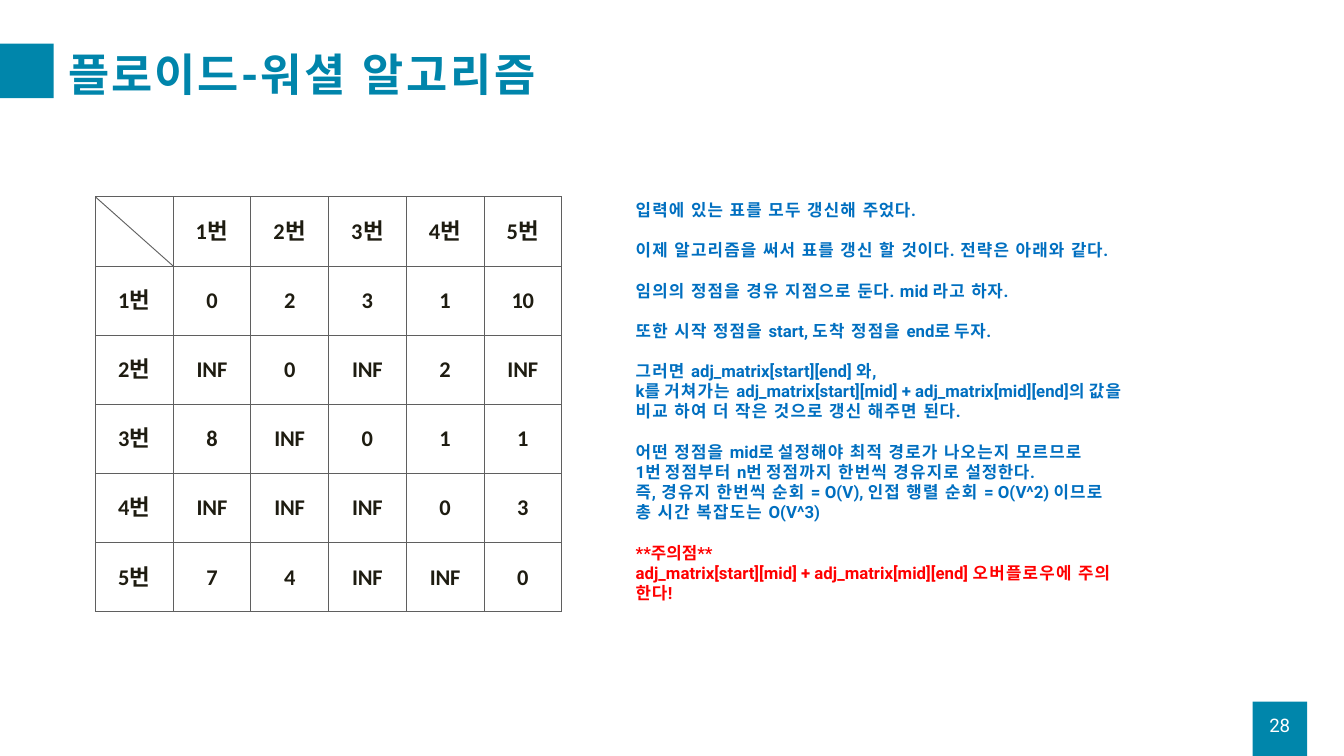
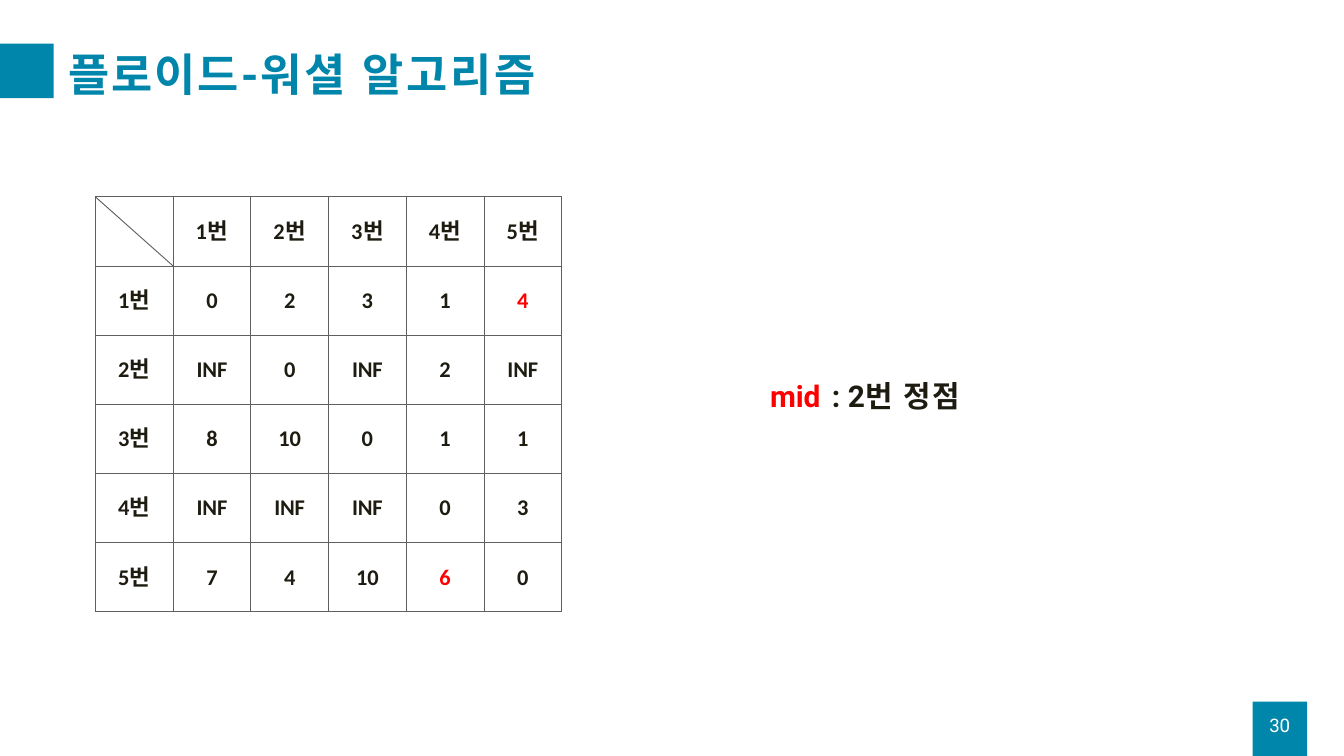
from itertools import groupby
from lxml import etree
from pptx import Presentation
from pptx.dml.color import RGBColor
from pptx.enum.shapes import MSO_CONNECTOR, MSO_SHAPE
from pptx.enum.text import MSO_ANCHOR, PP_ALIGN
from pptx.oxml.ns import qn
from pptx.util import Inches, Pt

RECT, LINE = MSO_SHAPE.RECTANGLE, MSO_CONNECTOR.STRAIGHT
MID, TOP = MSO_ANCHOR.MIDDLE, MSO_ANCHOR.TOP
LEFT, MIDST = PP_ALIGN.LEFT, PP_ALIGN.CENTER

HUES = {"teal": "0086AB", "title": "0085AB", "ink": "1E1C11", "blue": "006FC0",
        "red": "FF0000", "grid": "5F5F5F", "white": "FFFFFF"}
FONTS = {
    "title": {"name": "Roboto", "size": Pt(48), "bold": True},
    "cell": {"name": "Calibri", "size": Pt(24), "bold": True},
    "label": {"name": "Roboto", "size": Pt(24), "bold": True},
    "note": {"name": "Roboto", "size": Pt(18), "bold": True},
    "mid": {"name": "Roboto", "size": Pt(32), "bold": True},
    "page": {"name": "Roboto", "size": Pt(20), "bold": False},
}
WIDE, HIGH = 20, 11.25
SIDE = WIDE * 0.0405
COL, ROW = 6.94 / 6, 6.17 / 6
GRID_X, GRID_Y = 1.42, 2.93
NOTES = [
    ("blue", 0, "입력에 있는 표를 모두 갱신해 주었다."),
    ("blue", 1, "이제 알고리즘을 써서 표를 갱신 할 것이다. 전략은 아래와 같다."),
    ("blue", 1, "임의의 정점을 경유 지점으로 둔다. mid 라고 하자."),
    ("blue", 1, "또한 시작 정점을 start, 도착 정점을 end로 두자."),
    ("blue", 1, "그러면 adj_matrix[start][end] 와,"),
    ("blue", 0, "k를 거쳐가는 adj_matrix[start][mid] + adj_matrix[mid][end]의 값을 "
                "비교 하여 더 작은 것으로 갱신 해주면 된다."),
    ("blue", 1, "어떤 정점을 mid로 설정해야 최적 경로가 나오는지 모르므로"),
    ("blue", 0, "1번 정점부터 n번 정점까지 한번씩 경유지로 설정한다."),
    ("blue", 0, "즉, 경유지 한번씩 순회 = O(V), 인접 행렬 순회 = O(V^2) 이므로"),
    ("blue", 0, "총 시간 복잡도는 O(V^3)"),
    ("red", 1, "**주의점**"),
    ("red", 0, "adj_matrix[start][mid] + adj_matrix[mid][end] 오버플로우에 주의 한다!"),
]
PAGES = [
    {"page": "28", "red": [], "notes": NOTES, "mid": [],
     "rows": ["0 2 3 1 10", "INF 0 INF 2 INF", "8 INF 0 1 1",
              "INF INF INF 0 3", "7 4 INF INF 0"]},
    {"page": "30", "red": [(1, 5), (5, 4)], "notes": [],
     "mid": [("mid\t", "red", -0.2), (": ", "ink", 0),
             ("2번 ", "ink", 1.1), ("정점", "ink", 1.6)],
     "rows": ["0 2 3 1 4", "INF 0 INF 2 INF", "8 10 0 1 1",
              "INF INF INF 0 3", "7 4 10 6 0"]},
]


def write(para, text, font, hue, gap=0):
    run = para.add_run()
    run.text = text
    for key, value in FONTS[font].items():
        setattr(run.font, key, value)
    run.font.color.rgb = RGBColor.from_string(HUES[hue])
    props = run.font._element
    props.set("spc", str(round(gap * 100)))
    etree.SubElement(props, qn("a:ea"), typeface=FONTS[font]["name"])


def frame(shape, box, anchor=TOP, right=0):
    shape.left, shape.top, shape.width, shape.height = map(Inches, box)
    text = shape.text_frame
    form = {"margin_left": 0, "margin_top": 0, "margin_bottom": 0,
            "margin_right": Inches(right), "word_wrap": True,
            "vertical_anchor": anchor}
    for key, value in form.items():
        setattr(text, key, value)
    return text


deck = Presentation()
deck.slide_width, deck.slide_height = Inches(WIDE), Inches(HIGH)

for page in PAGES:
    slide = deck.slides.add_slide(deck.slide_layouts[5])
    shapes = slide.shapes

    for x, y in ((WIDE * 0.932, HIGH - SIDE), (-0.01, 0.65)):
        band = shapes.add_shape(RECT, *map(Inches, (x, y, SIDE, SIDE)))
        band.shadow.inherit = False
        band.fill.solid()
        band.fill.fore_color.rgb = RGBColor.from_string(HUES["teal"])
        band.line.fill.background()

    para = frame(shapes.title, (1.02, 0.69, 18.25, 0.82), MID).paragraphs[0]
    para.alignment = LEFT
    for text, gap in (("플로이드-", 2.1), ("워셜 ", 3.1), ("알고리즘", 2.9)):
        write(para, text, "title", "title", gap)

    area = map(Inches, (GRID_X, GRID_Y, COL * 6, ROW * 6))
    table = shapes.add_table(6, 6, *area).table
    table.first_row = table.horz_banding = False
    heads = [f"{n}번" for n in range(1, 6)]
    rows = [[""] + heads]
    rows += [[head] + row.split() for head, row in zip(heads, page["rows"])]
    for r, row in enumerate(rows):
        for c, text in enumerate(row):
            cell = table.cell(r, c)
            cell.margin_left = cell.margin_right = cell.margin_bottom = 0
            cell.margin_top = Inches(0.32)
            props = cell._tc.get_or_add_tcPr()
            for edge in "LRTB":
                line = etree.SubElement(props, qn(f"a:ln{edge}"), w=str(Pt(1)))
                fill = etree.SubElement(line, qn("a:solidFill"))
                etree.SubElement(fill, qn("a:srgbClr"), val=HUES["grid"])
            cell.fill.background()
            para = cell.text_frame.paragraphs[0]
            para.alignment = MIDST
            if text.endswith("번"):
                write(para, text[0], "cell", "ink", 0.6)
                write(para, text[1], "label", "ink", 0.6)
            elif text:
                hue = "red" if (r, c) in page["red"] else "ink"
                write(para, text, "cell", hue, -0.5 if len(text) == 1 else -0.2)

    ends = (GRID_X, GRID_Y, GRID_X + COL, GRID_Y + ROW)
    slash = shapes.add_connector(LINE, *map(Inches, ends))
    slash.line.color.rgb = RGBColor.from_string(HUES["grid"])
    slash.line.width = Pt(1)
    etree.SubElement(slash._element.spPr, qn("a:effectLst"))

    if page["notes"]:
        body = frame(shapes.add_textbox(0, 0, 0, 0), (9.46, 2.97, 7.96, 5.78), right=0.45)
        for n, (hue, space, text) in enumerate(page["notes"]):
            para = body.add_paragraph() if n else body.paragraphs[0]
            para.space_before = Pt(21.6 * space)
            words = text.split()
            gaps = [0 if w[0].isascii() else 0.7 if w[-1] in ".,!" else 1.3
                    for w in words]
            parts = [(gap, " ".join(w for _, w in group))
                     for gap, group in groupby(zip(gaps, words), lambda pair: pair[0])]
            for k, (gap, part) in enumerate(parts, 1):
                write(para, part + " " * (k < len(parts)), "note", hue, gap)

    if page["mid"]:
        body = frame(shapes.add_textbox(0, 0, 0, 0), (11.46, 5.62, 3.6, 0.55))
        para = body.paragraphs[0]
        tabs = etree.SubElement(para._p.get_or_add_pPr(), qn("a:tabLst"))
        etree.SubElement(tabs, qn("a:tab"), pos=str(Inches(0.92)), algn="l")
        for text, hue, gap in page["mid"]:
            write(para, text, "mid", hue, gap)

    box = (WIDE * 0.932, 10.68, SIDE, 0.28)
    para = frame(shapes.add_textbox(0, 0, 0, 0), box, MID).paragraphs[0]
    para.alignment = MIDST
    para.line_spacing = Pt(20)
    write(para, page["page"], "page", "white", -0.2)

deck.save("out.pptx")
